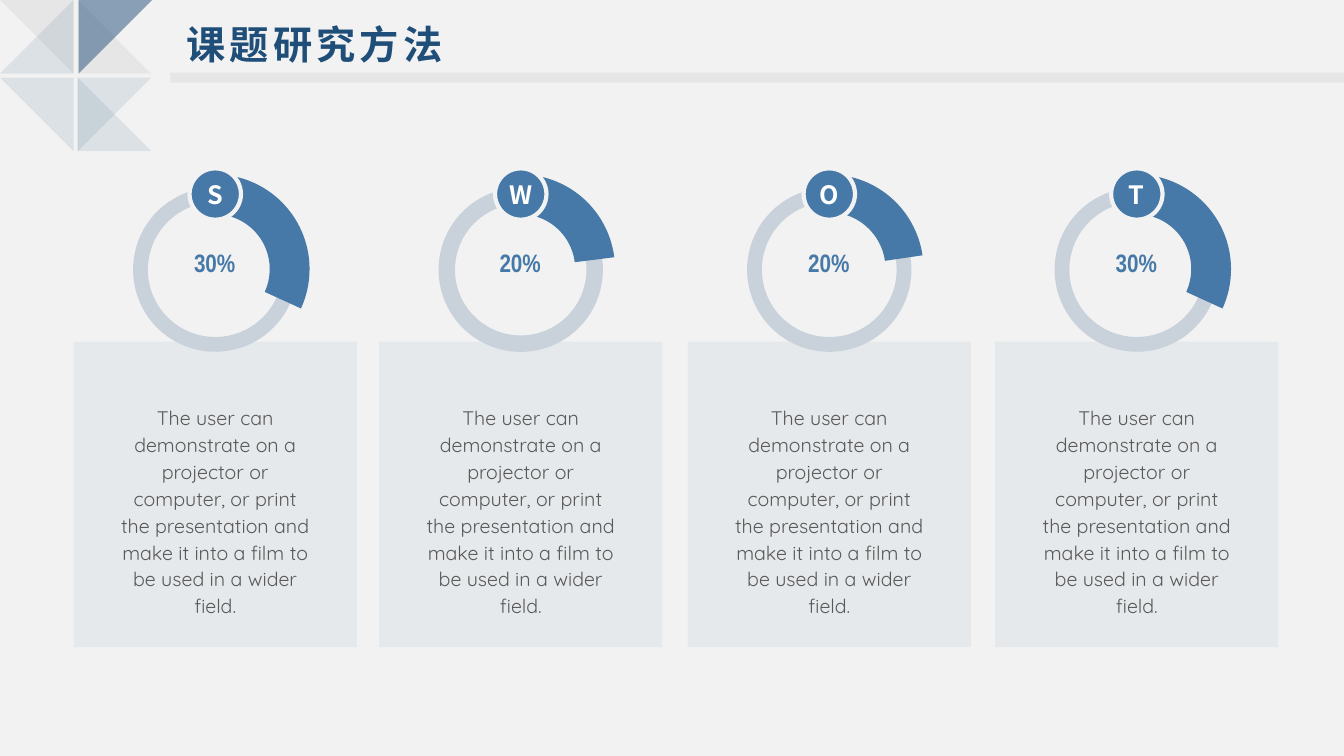
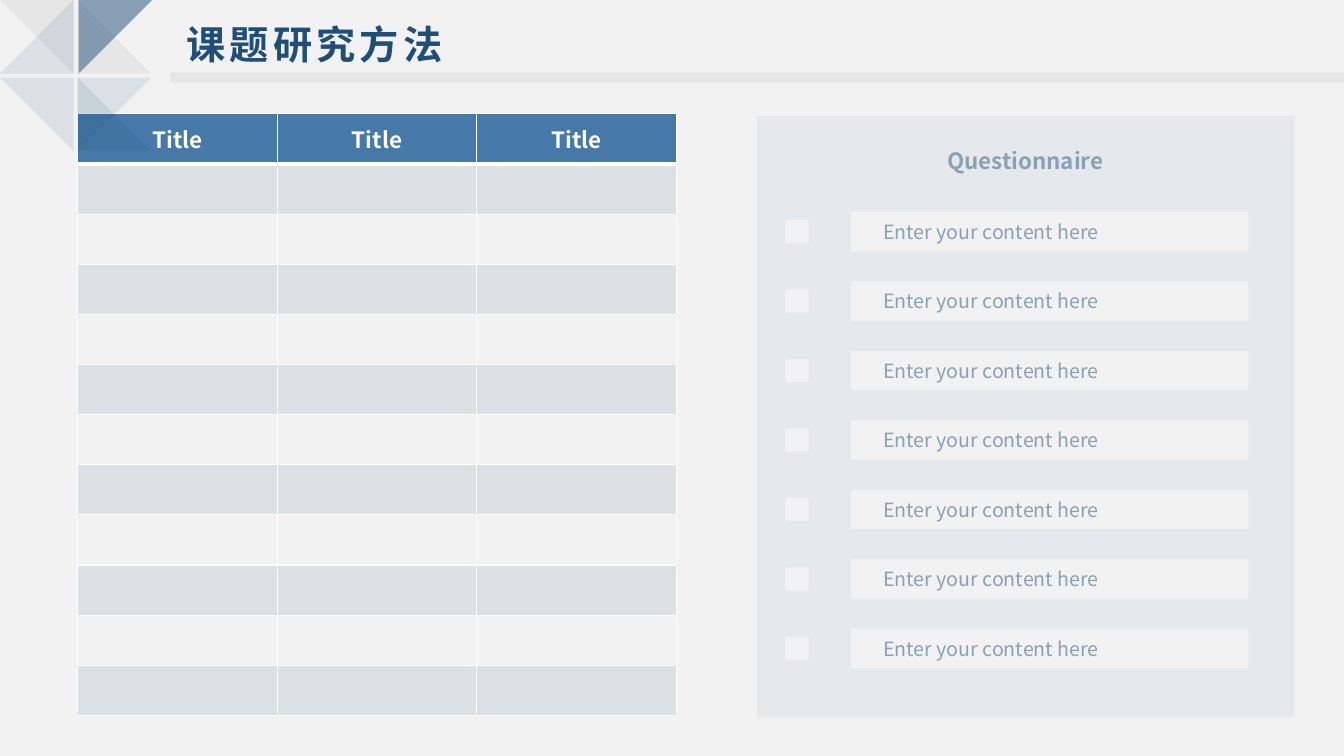
"""Build two slides on research methods: a ring chart row and a table with a form."""
from lxml.etree import SubElement as Sub
from pptx import Presentation
from pptx.dml.color import RGBColor as RGB
from pptx.enum.shapes import MSO_SHAPE as Kind
from pptx.enum.text import MSO_ANCHOR as Anchor, PP_ALIGN as Align
from pptx.oxml.ns import qn
from pptx.util import Inches, Pt

HUES = {
    "page": "F2F2F2", "band": "E7E6E6", "navy": "1F4E79", "blue": "4679A7",
    "ring": "C9D2DA", "card": "DCE1E5", "body": "595959", "mute": "89A0B6",
    "gray": "7F7F7F", "white": "FFFFFF",
}
SANS, ROUND, SLIM = "Noto Sans CJK SC", "Quicksand", "Arial Narrow"
BODY = ("The user can demonstrate on a projector or computer, or print the "
        "presentation and make it into a film to be used in a wider field.")
LONG = (280.1, (52.63, 50.63, 0.09), (162, 14.73, 0.21))
RINGS = [
    (0.73, "S", "30%", LONG),
    (3.76, "W", "20%", (244.3, (52.63, 51.5, 0.1), (162, 211.67, 0.21))),
    (6.82, "O", "20%", (239, (52.63, 50.63, 0.09), (162, 210.97, 0.2))),
    (9.87, "T", "30%", LONG),
]
LOW, HIGH, END = 0.73, 0.77, 1.5
TILES = [
    ([(LOW, LOW), (0, 0), (LOW, 0)], "gray", 10),
    ([(LOW, 0), (0, LOW), (LOW, LOW)], "navy", 10),
    ([(END, LOW), (HIGH, 0), (HIGH, LOW)], "gray", 10),
    ([(HIGH, END), (END, HIGH), (HIGH, HIGH)], "navy", 10),
    ([(LOW, END), (0, HIGH), (LOW, HIGH)], "navy", 10),
    ([(HIGH, HIGH), (END, END), (HIGH, END)], "navy", 10),
    ([(0.78, LOW), (1.51, 0), (0.78, 0)], "navy", 50),
]


def hue(name):
    """Return a palette colour."""
    return RGB.from_string(HUES[name])


def paint(shape, fill, alpha=100):
    """Give a shape a flat fill with no line or shadow."""
    shape.shadow.inherit = False
    shape.fill.solid()
    shape.fill.fore_color.rgb = hue(fill)
    shape.line.fill.background()
    if alpha < 100:
        tone = next(shape._element.iter(qn("a:srgbClr")))
        Sub(tone, qn("a:alpha"), val=str(alpha * 1000))
    return shape


def block(slide, box, fill, kind=Kind.RECTANGLE, alpha=100, turn=0, adjust=()):
    """Add a preset shape."""
    shape = slide.shapes.add_shape(kind, *map(Inches, box))
    shape.rotation = turn
    for index, value in enumerate(adjust):
        shape.adjustments[index] = value
    return paint(shape, fill, alpha)


def tile(slide, points, fill, alpha):
    """Add a see-through triangle."""
    first, *rest = [tuple(map(Inches, point)) for point in points]
    pen = slide.shapes.build_freeform(*first)
    pen.add_line_segments(rest, close=True)
    paint(pen.convert_to_shape(), fill, alpha)


def write(frame, text, size=14, color="mute", font=SANS, bold=False,
          align=Align.LEFT, lead=None, space=0, indent=0, pad=True, wrap=True):
    """Put formatted text into a text frame."""
    frame.word_wrap = wrap
    if not pad:
        frame.margin_left = frame.margin_right = 0
        frame.margin_top = frame.margin_bottom = 0
    para = frame.paragraphs[0]
    para.alignment, para.line_spacing = align, lead
    if indent:
        props = para._p.get_or_add_pPr()
        props.set("marL", str(Inches(indent)))
        props.set("indent", "0")
    run = para.add_run()
    run.text = text
    run.font.size, run.font.bold, run.font.name = Pt(size), bold, font
    run.font.color.rgb = hue(color)
    props = run._r.get_or_add_rPr()
    Sub(props, qn("a:ea"), typeface=font)
    if space:
        props.set("spc", str(space * 100))


def label(slide, box, text, **style):
    """Add a text box."""
    write(slide.shapes.add_textbox(*map(Inches, box)).text_frame, text, **style)


def edge(cell, **sides):
    """Draw white cell borders, with widths in points by side."""
    props = cell._tc.get_or_add_tcPr()
    for index, (side, width) in enumerate(sides.items()):
        line = Sub(props, qn(f"a:ln{side}"), w=str(Pt(width)))
        fill = Sub(line, qn("a:solidFill"))
        Sub(fill, qn("a:srgbClr"), val=HUES["white"])
        props.insert(index, line)


def ring(slide, left, mark, share, form):
    """Add a card with its ring, badge, share and body text."""
    turn, back, front = form
    block(slide, (left, 3.39, 2.81, 3.03), "card", alpha=50)
    label(slide, (left + 0.33, 3.95, 2.15, 2.23), BODY, color="body",
          font=ROUND, align=Align.CENTER, lead=1.14)
    block(slide, (left + 0.71, 1.94, 1.45, 1.45), "page", Kind.OVAL)
    block(slide, (left + 0.59, 1.86, 1.63, 1.63), "ring", Kind.BLOCK_ARC,
          turn=turn, adjust=back)
    block(slide, (left + 0.46, 1.73, 1.88, 1.88), "blue", Kind.BLOCK_ARC,
          adjust=front)
    badge = block(slide, (left + 1.15, 1.67, 0.51, 0.51), "blue", Kind.OVAL)
    badge.line.color.rgb = hue("page")
    badge.line.width = Pt(3)
    badge.text_frame.vertical_anchor = Anchor.MIDDLE
    write(badge.text_frame, mark, size=18, color="white", bold=True,
          align=Align.CENTER, pad=False)
    label(slide, (left + 1.02, 2.45, 0.76, 0.39), share, size=18, color="blue",
          font=SLIM, bold=True, align=Align.CENTER, pad=False, wrap=False)


def grid(slide, box, heads, rows):
    """Add a striped table with a header row."""
    table = slide.shapes.add_table(rows, len(heads), *map(Inches, box)).table
    table.first_row = table.horz_banding = False
    for row in range(rows):
        for col, head in enumerate(heads):
            cell = table.cell(row, col)
            cell.fill.solid()
            fill = "blue" if row == 0 else "card" if row % 2 else "page"
            cell.fill.fore_color.rgb = hue(fill)
            edge(cell, L=1, R=1, T=3 if row == 1 else 1, B=1 if row else 3)
            if row == 0:
                cell.vertical_anchor = Anchor.MIDDLE
                write(cell.text_frame, head, size=16, color="white",
                      bold=True, align=Align.CENTER)


def form(slide, title, text, count):
    """Add a panel of tick boxes and answer fields."""
    block(slide, (7.51, 1.15, 5.33, 5.97), "card", alpha=50)
    label(slide, (9.25, 1.41, 1.84, 0.37), title, size=16, bold=True,
          align=Align.CENTER)
    for index in range(count):
        top = 2.1 + 0.69 * index
        block(slide, (7.79, top + 0.08, 0.23, 0.23), "page")
        block(slide, (8.44, top, 3.94, 0.39), "page")
        label(slide, (8.66, top + 0.03, 2.43, 0.34), text, wrap=False)


def start(deck):
    """Add a blank slide with the page colour."""
    slide = deck.slides.add_slide(deck.slide_layouts[6])
    slide.background.fill.solid()
    slide.background.fill.fore_color.rgb = hue("page")
    return slide


def crown(slide, title):
    """Add the title, its band and the corner tiles."""
    block(slide, (1.69, 0.72, 11.65, 0.1), "band")
    label(slide, (1.55, 0.15, 4.82, 0.57), title, size=28, color="navy",
          bold=True, space=3, indent=0.2)
    for points, fill, alpha in TILES:
        tile(slide, points, fill, alpha)


def main():
    """Build and save the deck."""
    deck = Presentation()
    deck.slide_width, deck.slide_height = Inches(13.33), Inches(7.5)
    swot = start(deck)
    for item in RINGS:
        ring(swot, *item)
    survey = start(deck)
    grid(survey, (0.77, 1.13, 5.94, 5.97), ["Title"] * 3, 12)
    form(survey, "Questionnaire", "Enter your content here", 7)
    for slide in (swot, survey):
        crown(slide, "课题研究方法")
    deck.save("out.pptx")


if __name__ == "__main__":
    main()
